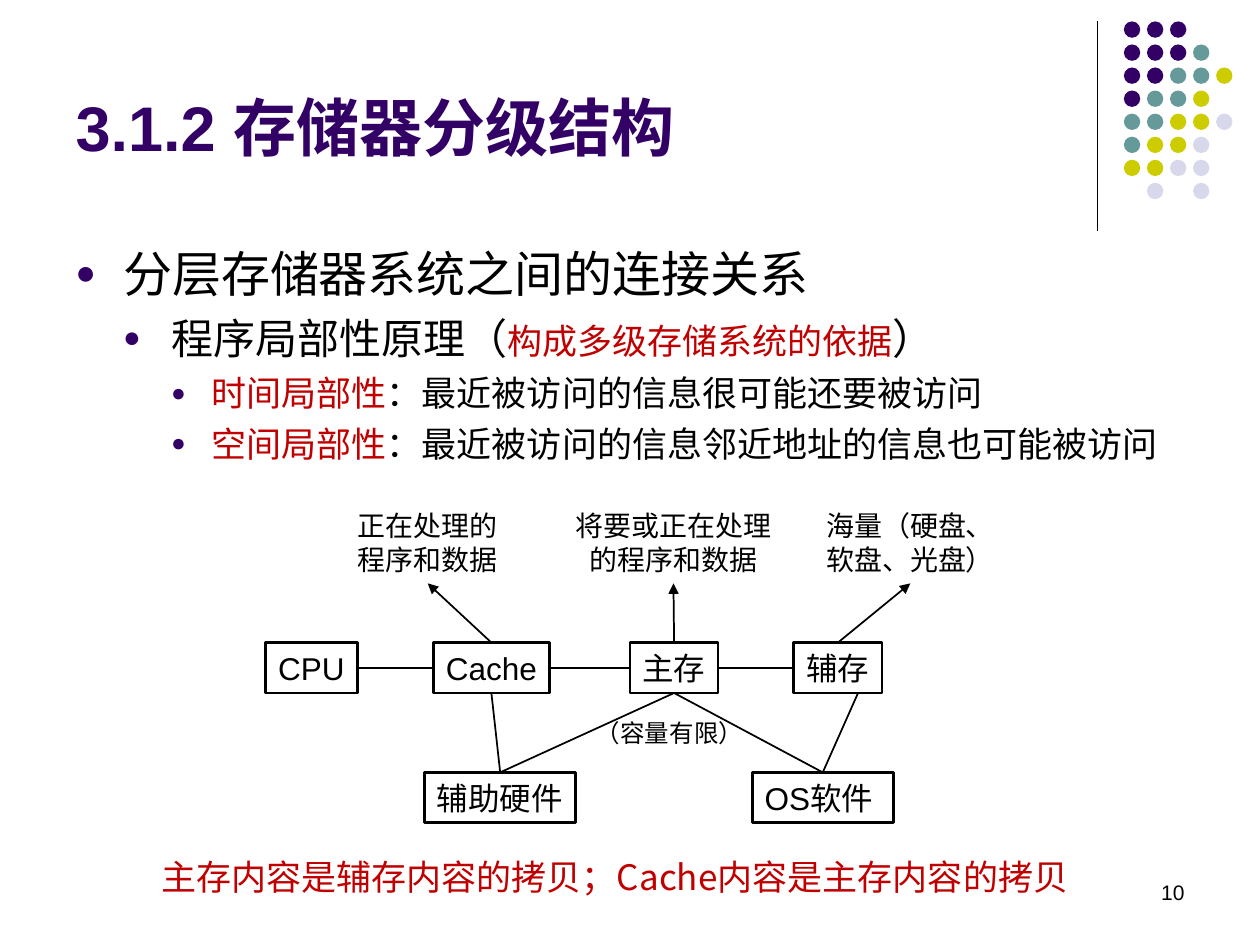
from typing import NamedTuple

from lxml.etree import SubElement
from pptx import Presentation
from pptx.dml.color import RGBColor
from pptx.enum.shapes import MSO_CONNECTOR, MSO_SHAPE
from pptx.enum.text import MSO_ANCHOR, MSO_AUTO_SIZE, PP_ALIGN
from pptx.oxml.ns import qn
from pptx.util import Inches, Pt

BLACK, RED, PURPLE = "000000", "C00000", "330066"
ARIAL, NOTO = "Arial", "Noto Sans CJK SC"
TOP, LEFT, BOTTOM, RIGHT = range(4)


class Run(NamedTuple):
    text: str
    size: float
    color: str = BLACK
    font: str = ARIAL
    bold: bool = False


class Bullet(NamedTuple):
    level: int
    indent: float
    hanging: float
    before: float
    runs: list[Run]


class Box(NamedTuple):
    name: str
    x: float
    y: float
    w: float


class Label(NamedTuple):
    lines: list[str]
    x: float
    w: float
    box: str


class Link(NamedTuple):
    start: str
    start_side: int
    end: str
    end_side: int


DOT_COLORS = {"P": PURPLE, "T": "669999", "Y": "CCCC00", "L": "D8D8EC"}
DOT_ROWS = ["PPP", "PPPT", "PPTTY", "PTTY", "TTYYL", "TYYL", "YYLL", ".L.L"]

BULLETS = [
    Bullet(0, 0.38, 0.38, 7, [Run("分层存储器系统之间的连接关系", 28)]),
    Bullet(1, 0.76, 0.38, 6, [Run("程序局部性原理（", 24),
                              Run("构成多级存储系统的依据", 20, RED, NOTO),
                              Run("）", 24)]),
    Bullet(2, 1.08, 0.32, 5, [Run("时间局部性", 20, RED, NOTO),
                              Run("：最近被访问的信息很可能还要被访问", 20)]),
    Bullet(2, 1.08, 0.32, 5, [Run("空间局部性", 20, RED, NOTO),
                              Run("：最近被访问的信息邻近地址的信息也可能被访问", 20)]),
]
BOX_H = 0.4
BOXES = [
    Box("CPU", 2.11, 5.1, 0.73), Box("Cache", 3.44, 5.1, 0.92),
    Box("主存", 5, 5.1, 0.7), Box("辅存", 6.3, 5.1, 0.7),
    Box("辅助硬件", 3.37, 6.13, 1.2), Box("OS软件", 5.97, 6.13, 1.12),
]
LABELS = [
    Label(["正在处理的", "程序和数据"], 2.74, 1.31, "Cache"),
    Label(["将要或正在处理", "的程序和数据"], 4.47, 1.75, "主存"),
    Label(["海量（硬盘、", "软盘、光盘）"], 6.46, 1.53, "辅存"),
]
LINKS = [
    Link("CPU", RIGHT, "Cache", LEFT),
    Link("Cache", RIGHT, "主存", LEFT),
    Link("主存", RIGHT, "辅存", LEFT),
    Link("Cache", BOTTOM, "辅助硬件", TOP),
    Link("辅助硬件", TOP, "主存", BOTTOM),
    Link("主存", BOTTOM, "OS软件", TOP),
]


def rgb(color: str) -> RGBColor:
    return RGBColor.from_string(color)


def add_run(p, run: Run) -> None:
    r = p.add_run()
    r.text = run.text
    for key, value in {"size": Pt(run.size), "name": run.font, "bold": run.bold}.items():
        setattr(r.font, key, value)
    r.font.color.rgb = rgb(run.color)
    SubElement(r.font._element, qn("a:ea"), typeface=NOTO)


def format_frame(tf, wrap: bool = False, anchor=MSO_ANCHOR.TOP) -> None:
    settings = {"word_wrap": wrap, "auto_size": MSO_AUTO_SIZE.NONE, "vertical_anchor": anchor}
    for key, value in settings.items():
        setattr(tf, key, value)


def fill_lines(tf, runs: list[Run], align=PP_ALIGN.LEFT) -> None:
    """Write each run as its own paragraph."""
    for i, run in enumerate(runs):
        p = tf.add_paragraph() if i else tf.paragraphs[0]
        p.alignment = align
        add_run(p, run)


def add_text(s, x, y, w, h, runs: list[Run], align=PP_ALIGN.LEFT, anchor=MSO_ANCHOR.TOP):
    sp = s.shapes.add_textbox(Inches(x), Inches(y), Inches(w), Inches(h))
    format_frame(sp.text_frame, anchor=anchor)
    fill_lines(sp.text_frame, runs, align)
    return sp


def add_line(s, x1=0, y1=0, x2=0, y2=0, width: float = 1):
    line = s.shapes.add_connector(MSO_CONNECTOR.STRAIGHT, Inches(x1), Inches(y1),
                                  Inches(x2), Inches(y2))
    line.line.color.rgb = rgb(BLACK)
    line.line.width = Pt(width)
    SubElement(line._element.spPr, qn("a:effectLst"))
    return line


def join(s, start, start_side: int, end, end_side: int):
    line = add_line(s)
    line.begin_connect(start, start_side)
    line.end_connect(end, end_side)
    return line


def add_dots(s) -> None:
    for row, codes in enumerate(DOT_ROWS):
        for col, code in enumerate(codes):
            if code == ".":
                continue
            dot = s.shapes.add_shape(MSO_SHAPE.OVAL, Inches(8.92 + col * 0.183),
                                     Inches(0.17 + row * 0.183), Inches(0.13), Inches(0.13))
            dot.shadow.inherit = False
            dot.fill.solid()
            dot.fill.fore_color.rgb = rgb(DOT_COLORS[code])
            dot.line.fill.background()


def add_title(s) -> None:
    sp = s.shapes.title
    for key, value in {"left": 0.5, "top": 0.29, "width": 8.25, "height": 1.42}.items():
        setattr(sp, key, Inches(value))
    format_frame(sp.text_frame, wrap=True, anchor=MSO_ANCHOR.MIDDLE)
    fill_lines(sp.text_frame, [Run("3.1.2 存储器分级结构", 36, PURPLE, bold=True)])


def add_bullets(s) -> None:
    tf = s.shapes.add_textbox(Inches(0.5), Inches(1.88), Inches(9), Inches(2.1)).text_frame
    format_frame(tf, wrap=True)
    for i, item in enumerate(BULLETS):
        p = tf.add_paragraph() if i else tf.paragraphs[0]
        p.level = item.level
        p.space_before = Pt(item.before)
        pPr = p._p.get_or_add_pPr()
        pPr.set("marL", str(Inches(item.indent)))
        pPr.set("indent", str(-Inches(item.hanging)))
        SubElement(SubElement(pPr, qn("a:buClr")), qn("a:srgbClr"), val=PURPLE)
        SubElement(pPr, qn("a:buSzPct"), val="70000")
        SubElement(pPr, qn("a:buFont"), typeface=ARIAL)
        SubElement(pPr, qn("a:buChar"), char="●")
        for run in item.runs:
            add_run(p, run)


def add_box(s, box: Box):
    sp = s.shapes.add_shape(MSO_SHAPE.RECTANGLE, Inches(box.x), Inches(box.y),
                            Inches(box.w), Inches(BOX_H))
    sp.shadow.inherit = False
    sp.fill.background()
    sp.line.color.rgb = rgb(BLACK)
    sp.line.width = Pt(1.5)
    format_frame(sp.text_frame)
    fill_lines(sp.text_frame, [Run(box.name, 18)])
    return sp


def add_diagram(s) -> None:
    boxes = {box.name: add_box(s, box) for box in BOXES}
    for link in LINKS:
        join(s, boxes[link.start], link.start_side, boxes[link.end], link.end_side)
    add_line(s, 6.53, 6.13, 6.81, 5.5).begin_connect(boxes["OS软件"], TOP)
    add_text(s, 4.63, 5.65, 1.37, 0.34, [Run("（容量有限）", 14)], PP_ALIGN.CENTER)
    for label in LABELS:
        sp = add_text(s, label.x, 3.99, label.w, 0.64,
                      [Run(text, 16) for text in label.lines], PP_ALIGN.CENTER)
        arrow = join(s, boxes[label.box], TOP, sp, BOTTOM)
        SubElement(arrow.line._get_or_add_ln(), qn("a:tailEnd"), type="triangle")


def main() -> None:
    prs = Presentation()
    prs.slide_width, prs.slide_height = Inches(10), Inches(7.5)
    s = prs.slides.add_slide(prs.slide_layouts[5])
    add_line(s, 8.71, 0.17, 8.71, 1.83, 0.75)
    add_dots(s)
    add_title(s)
    add_bullets(s)
    add_diagram(s)
    add_text(s, 1.18, 6.74, 7.57, 0.44,
             [Run("主存内容是辅存内容的拷贝；Cache内容是主存内容的拷贝", 20, RED, NOTO)])
    add_text(s, 7.17, 6.83, 2.33, 0.5, [Run("10", 12)], PP_ALIGN.RIGHT, MSO_ANCHOR.MIDDLE)
    prs.save("out.pptx")


if __name__ == "__main__":
    main()
